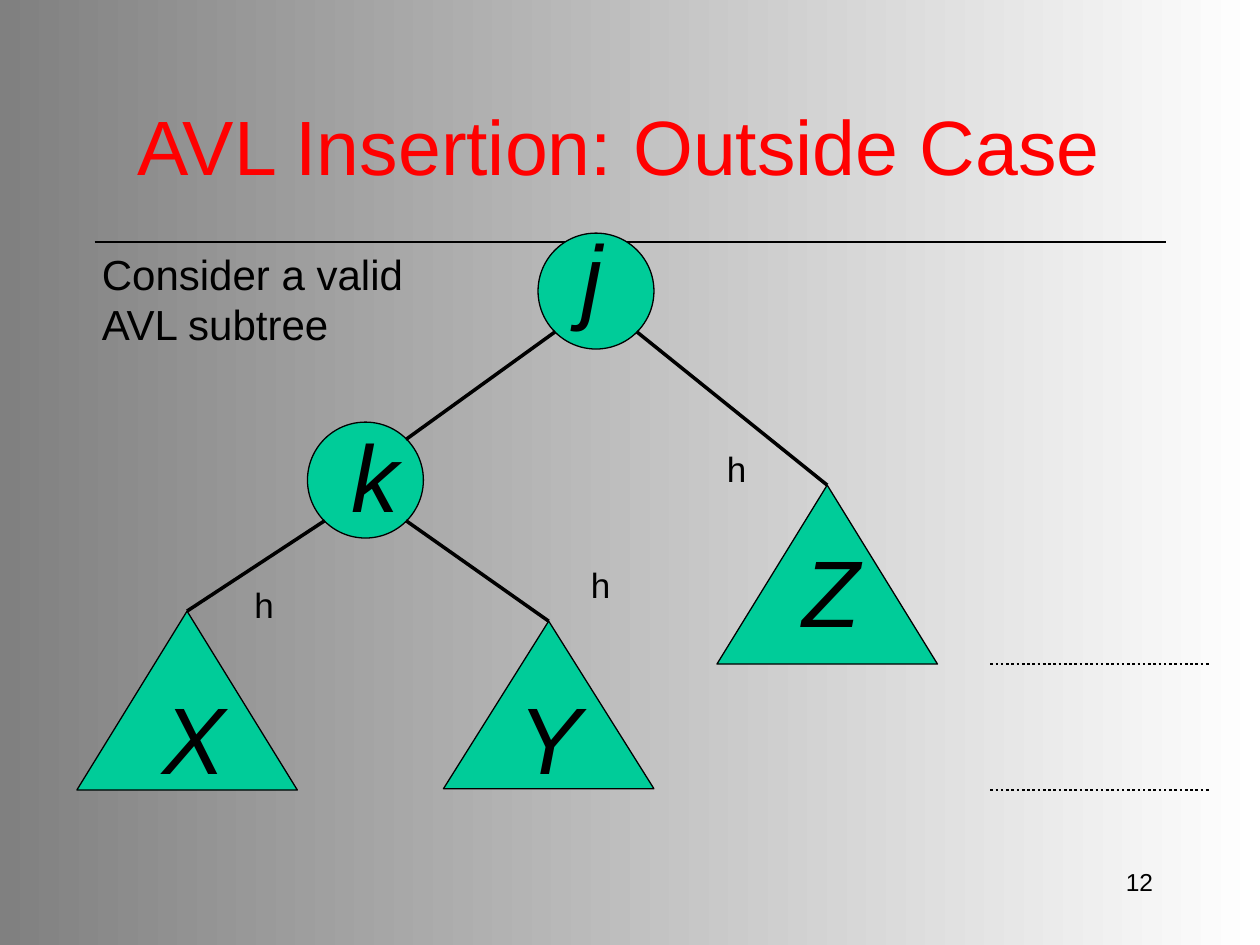
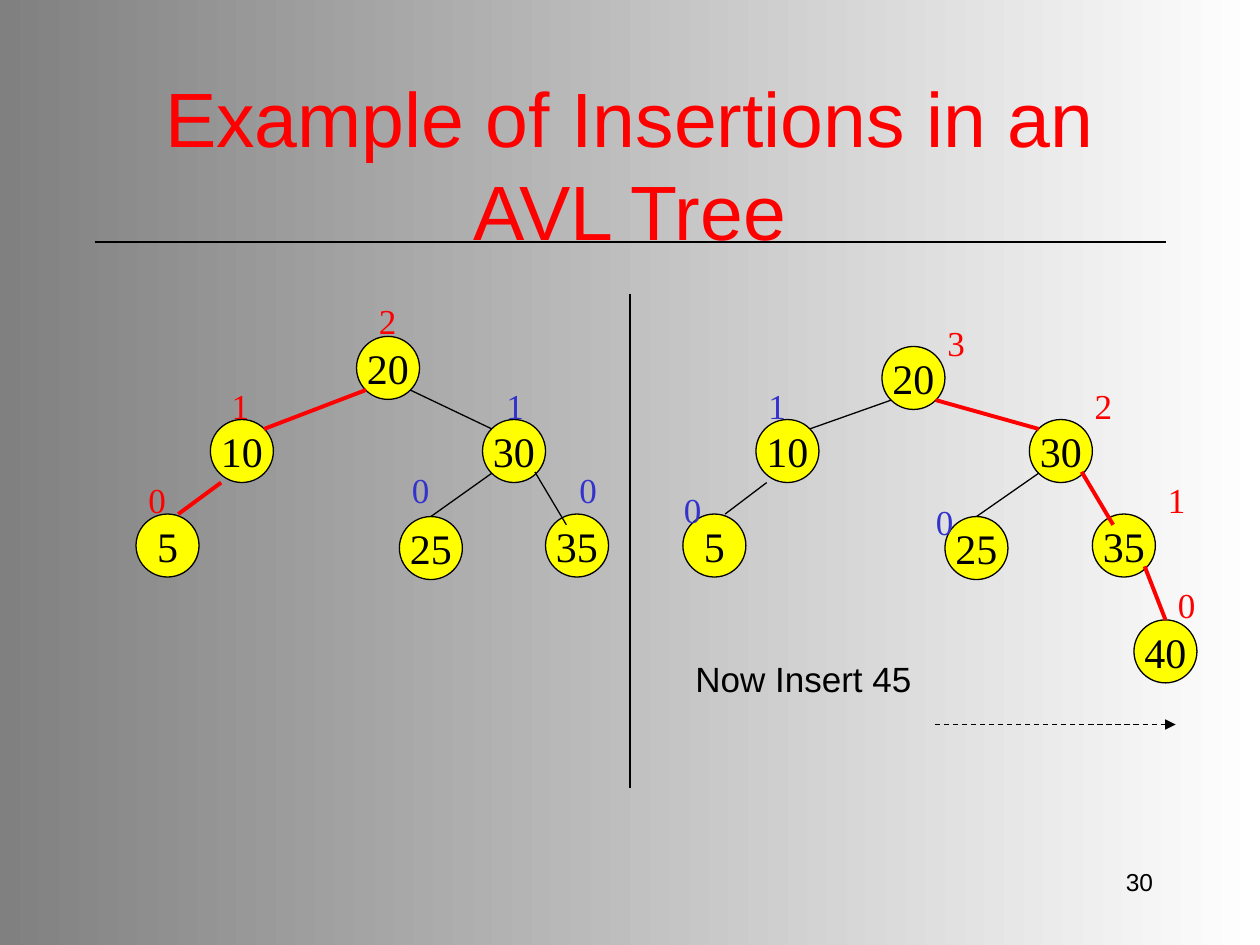
from dataclasses import dataclass

import pptx
import pptx.dml.color
import pptx.enum.dml
import pptx.enum.shapes
import pptx.enum.text
import pptx.oxml
import pptx.oxml.ns
import pptx.util

Inches, Pt = pptx.util.Inches, pptx.util.Pt
SHAPE = pptx.enum.shapes.MSO_SHAPE
DASH = pptx.enum.dml.MSO_LINE
ALIGN = pptx.enum.text.PP_ALIGN
ANCHOR = pptx.enum.text.MSO_ANCHOR


@dataclass(frozen=True)
class Theme:
    black: str = "000000"
    red: str = "FF0000"
    blue: str = "3333CC"
    green: str = "00CC99"
    yellow: str = "FFFF00"
    light: str = "FFFFFF"
    dark: str = "808080"
    sans: str = "Arial"
    serif: str = "Times New Roman"
    title: int = 44
    letter: int = 54
    body: int = 24
    label: int = 20
    number: int = 14
    thin: float = 0.75
    dotted: float = 1.5
    branch: float = 2
    marked: float = 2.25


THEME = Theme()


def rgb(value):
    return pptx.dml.color.RGBColor.from_string(value)


class SlideBuilder:
    """Holds the style and the current slide."""

    def __init__(self, deck, theme):
        self.deck, self.theme, self.page = deck, theme, None
        fill = deck.slide_master.background.fill
        fill.gradient()
        fill.gradient_angle = 180
        for stop, color in zip(fill.gradient_stops, (theme.light, theme.dark)):
            stop.color.rgb = rgb(color)

    def new_page(self, title, title_box, number):
        self.page = self.deck.slides.add_slide(self.deck.slide_layouts[6])
        self.line((0.75, 1.92), (9.25, 1.92))
        self.text(str(number), (7.17, 6.83, 2.08, 0.5), self.theme.number, align=ALIGN.RIGHT)
        self.text(title, title_box, self.theme.title, color=self.theme.red,
                  align=ALIGN.CENTER, anchor=ANCHOR.MIDDLE)

    def set_text(self, frame, text, size, color, font, italic, align, anchor):
        frame.vertical_anchor = anchor
        for index, line in enumerate(text.split("\n")):
            para = frame.add_paragraph() if index else frame.paragraphs[0]
            para.text, para.alignment = line, align
            para.font.size, para.font.name = Pt(size), font
            para.font.italic = italic
            para.font.color.rgb = rgb(color)

    def text(self, text, place, size, color=THEME.black, font=THEME.sans,
             italic=False, align=ALIGN.LEFT, anchor=ANCHOR.TOP):
        box = self.page.shapes.add_textbox(*map(Inches, place))
        box.text_frame.word_wrap = True
        self.set_text(box.text_frame, text, size, color, font, italic, align, anchor)

    def shape(self, kind, place, color, text=""):
        shape = self.page.shapes.add_shape(kind, *map(Inches, place))
        shape.shadow.inherit = False
        shape.fill.solid()
        shape.fill.fore_color.rgb = rgb(color)
        shape.line.color.rgb = rgb(self.theme.black)
        shape.line.width = Pt(self.theme.thin)
        if text:
            shape.text_frame.word_wrap = False
            self.set_text(shape.text_frame, text, self.theme.body, self.theme.black,
                          self.theme.serif, False, ALIGN.CENTER, ANCHOR.MIDDLE)

    def line(self, start, end, color=THEME.black, width=THEME.thin, dash=None, arrow=False):
        line = self.page.shapes.add_connector(
            pptx.enum.shapes.MSO_CONNECTOR.STRAIGHT, *map(Inches, (*start, *end)))
        line.line.color.rgb = rgb(color)
        line.line.width = Pt(width)
        if dash:
            line.line.dash_style = dash
        properties = line._element.spPr
        if arrow:
            head = pptx.oxml.parse_xml(f'<a:tailEnd {pptx.oxml.ns.nsdecls("a")} type="triangle"/>')
            properties.find(pptx.oxml.ns.qn("a:ln")).append(head)
        properties.append(pptx.oxml.parse_xml(f'<a:effectLst {pptx.oxml.ns.nsdecls("a")}/>'))


def shifted(point, offset, scale):
    return point[0] + offset[0] * scale, point[1] + offset[1] * scale


# Places on a node, as shares of its diameter
TOP = (0.5, 0)
TOP_LEFT, TOP_RIGHT = (0.15, 0.15), (0.85, 0.15)
LOW_LEFT, LOW_RIGHT = (0.15, 0.85), (0.85, 0.85)


def outside_case(builder):
    theme = builder.theme
    builder.new_page("AVL Insertion: Outside Case ", (0.73, 0.71, 8.54, 0.88), 12)

    # Nodes and subtrees, each with its letter
    size = 0.92
    j, k = (4.27, 1.85), (2.44, 3.35)
    parts = [
        (SHAPE.OVAL, (*j, size, size), "j", (4.52, 1.68)),
        (SHAPE.OVAL, (*k, size, size), "k", (2.69, 3.27)),
        (SHAPE.ISOSCELES_TRIANGLE, (0.61, 4.85, 1.75, 1.42), "X", (1.19, 5.35)),
        (SHAPE.ISOSCELES_TRIANGLE, (3.52, 4.93, 1.67, 1.33), "Y", (4.02, 5.35)),
        (SHAPE.ISOSCELES_TRIANGLE, (5.69, 3.85, 1.75, 1.42), "Z", (6.27, 4.18)),
    ]
    for kind, place, letter, spot in parts:
        builder.shape(kind, place, theme.green)
        builder.text(letter, (*spot, 0.56, 1), theme.letter, italic=True)

    # Branches
    x_top, y_top, z_top = ((place[0] + place[2] / 2, place[1]) for _, place, _, _ in parts[2:])
    for node, corner, end in [(j, LOW_LEFT, shifted(k, TOP_RIGHT, size)), (j, LOW_RIGHT, z_top),
                              (k, LOW_LEFT, x_top), (k, LOW_RIGHT, y_top)]:
        builder.line(shifted(node, corner, size), end, width=theme.branch)

    # Depth marks and heights
    for level in (5.27, 6.27):
        builder.line((7.86, level), (9.61, level), width=theme.dotted, dash=DASH.ROUND_DOT)
    for spot in [(5.67, 3.5), (1.92, 4.58), (4.59, 4.42)]:
        builder.text("h", (*spot, 0.35, 0.44), theme.label)
    builder.text("Consider a valid\nAVL subtree", (0.71, 1.92, 2.59, 0.9), theme.body)


# Where each branch leaves its parent and meets its child
BRANCHES = {
    (20, 10): (LOW_LEFT, TOP_RIGHT),
    (20, 30): (LOW_RIGHT, TOP_LEFT),
    (10, 5): ((0.17, 1), (0.67, 0)),
    (30, 25): (LOW_LEFT, TOP),
    (30, 35): ((0.83, 0.83), (0.33, 0.17)),
    (35, 40): ((0.83, 0.83), TOP),
}


def draw_tree(builder, nodes, marked):
    """nodes: key -> (position, height, height position); marked: keys on the red route."""
    theme, size = builder.theme, 0.5
    for key, (spot, _, _) in nodes.items():
        builder.shape(SHAPE.OVAL, (*spot, size, size), theme.yellow, str(key))
    for (parent, child), (leave, meet) in BRANCHES.items():
        if child in nodes:
            style = (theme.red, theme.marked) if child in marked else (theme.black, theme.thin)
            builder.line(shifted(nodes[parent][0], leave, size),
                         shifted(nodes[child][0], meet, size), *style)
    for key, (_, height, spot) in nodes.items():
        builder.text(str(height), (*spot, 0.34, 0.44), theme.label,
                     theme.red if key in marked else theme.blue, theme.serif)


def insertion_example(builder):
    theme = builder.theme
    builder.new_page("Example of Insertions in an AVL Tree", (0.75, 0.67, 8.5, 1.25), 30)

    # Tree before the insertion
    draw_tree(builder, {
        20: ((2.83, 2.67), 2, (2.91, 2.33)),
        10: ((1.67, 3.33), 1, (1.74, 3)),
        30: ((3.83, 3.33), 1, (3.92, 3)),
        5: ((1.08, 4.08), 0, (1.08, 3.75)),
        25: ((3.17, 4.1), 0, (3.17, 3.67)),
        35: ((4.33, 4.08), 0, (4.5, 3.67)),
    }, {20, 10, 5})

    # Tree after the insertion
    draw_tree(builder, {
        20: ((7, 2.75), 3, (7.42, 2.5)),
        10: ((6, 3.33), 1, (6, 3)),
        30: ((8.17, 3.33), 2, (8.59, 3)),
        5: ((5.42, 4.08), 0, (5.33, 3.83)),
        25: ((7.5, 4.1), 0, (7.33, 3.92)),
        35: ((8.67, 4.08), 1, (9.17, 3.75)),
        40: ((9, 4.92), 0, (9.25, 4.58)),
    }, {20, 30, 35, 40})

    # Divider and next step
    builder.line((5, 2.33), (5, 6.25))
    builder.text("Now Insert 45", (5.42, 5.17, 1.92, 0.44), theme.label)
    builder.line((7.42, 5.75), (9.33, 5.75), dash=DASH.DASH, arrow=True)


def main():
    deck = pptx.Presentation()
    deck.slide_width, deck.slide_height = Inches(10), Inches(7.5)
    builder = SlideBuilder(deck, THEME)
    outside_case(builder)
    insertion_example(builder)
    deck.save("out.pptx")


if __name__ == "__main__":
    main()
